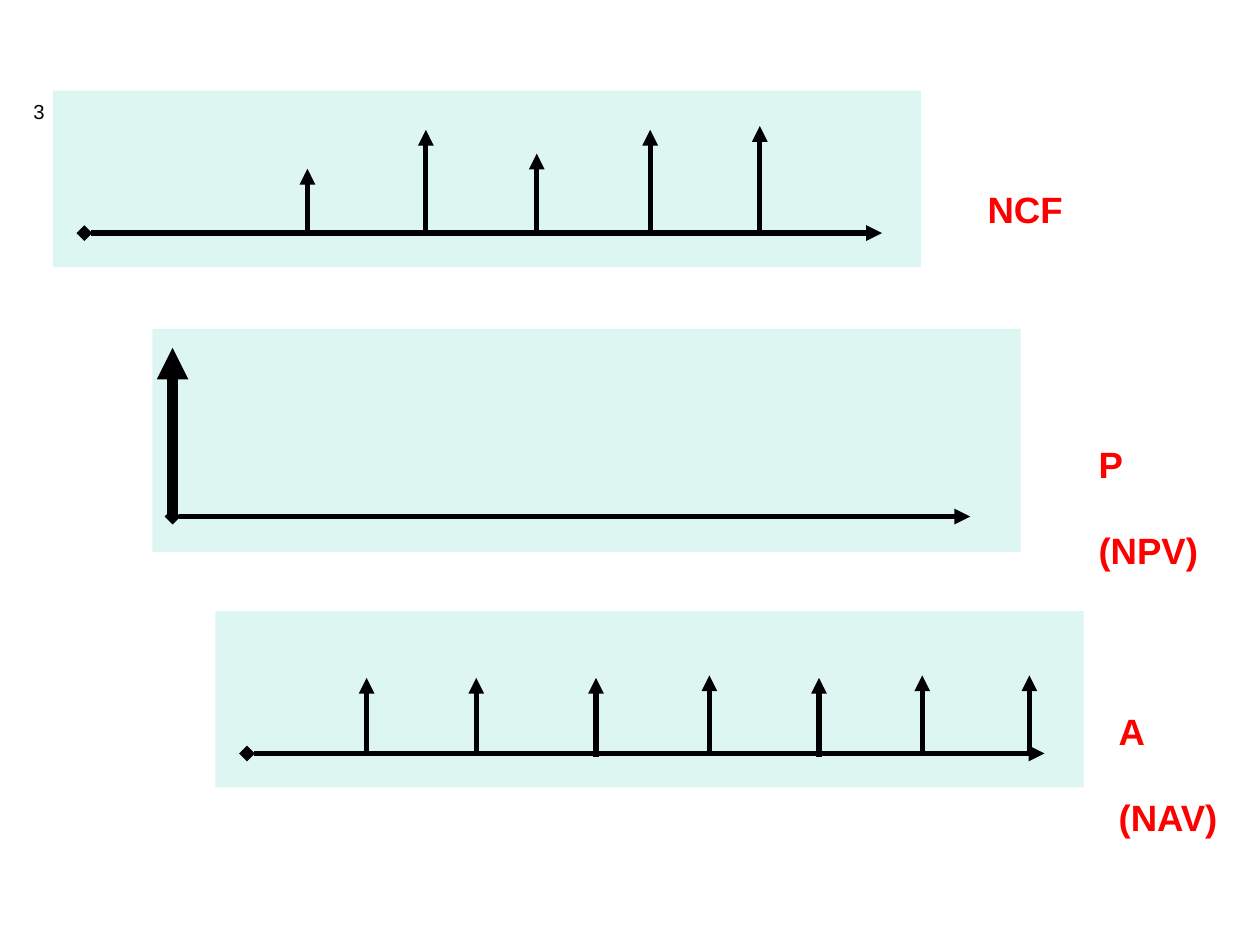
from lxml import etree
from pptx import Presentation
from pptx.dml.color import RGBColor
from pptx.enum import shapes, text
from pptx.oxml.ns import qn
from pptx.util import Inches, Pt

COLORS = {"panel": "DEF6F1", "line": "000000", "label": "FF0000", "number": "000000"}
AXIS_LENGTH = 6.33
PANEL_WIDTH = 6.89

DIAGRAMS = [
    {
        "panel": (0.42, 0.72, 1.4), "axis": (0.67, 1.85), "weight": 3,
        "flows": [(2.44, 1.85, 1.34), (3.38, 1.87, 1.03), (4.26, 1.85, 1.22),
                  (5.16, 1.87, 1.03), (6.03, 1.85, 1.0)],
        "label": (["NCF"], 7.74, 1.1, 1.58, 0.5),
    },
    {
        "panel": (1.21, 2.61, 1.77), "axis": (1.37, 4.1), "weight": 6,
        "flows": [(1.37, 4.1, 2.76)],
        "label": (["P (NPV)"], 8.62, 3.12, 1.11, 0.91),
    },
    {
        "panel": (1.71, 4.85, 1.4), "axis": (1.96, 5.98), "weight": 3,
        "flows": [(2.91, 5.98, 5.38), (3.78, 5.98, 5.38), (4.73, 6.01, 5.38),
                  (5.63, 5.98, 5.36), (6.5, 6.01, 5.38), (7.32, 5.99, 5.36),
                  (8.17, 5.99, 5.36)],
        "label": (["A", "(NAV)"], 8.78, 5.24, 1.11, 0.91),
    },
]


def add_panel(slide, left, top, height):
    shape = slide.shapes.add_shape(
        shapes.MSO_SHAPE.RECTANGLE,
        *map(Inches, (left, top, PANEL_WIDTH, height)))
    shape.shadow.inherit = False
    shape.fill.solid()
    shape.fill.fore_color.rgb = RGBColor.from_string(COLORS["panel"])
    shape.line.fill.background()


def add_arrow(slide, start, end, weight, head=None):
    connector = slide.shapes.add_connector(
        shapes.MSO_CONNECTOR.STRAIGHT, *map(Inches, (*start, *end)))
    connector.line.color.rgb = RGBColor.from_string(COLORS["line"])
    connector.line.width = Pt(weight)
    outline = connector.line._get_or_add_ln()
    if head:
        etree.SubElement(outline, qn("a:headEnd"), type=head)
    etree.SubElement(outline, qn("a:tailEnd"), type="triangle")
    etree.SubElement(connector._element.spPr, qn("a:effectLst"))


def add_subscript(slide, lines, left, top, width, height, size, color, bold=False):
    box = slide.shapes.add_textbox(*map(Inches, (left, top, width, height)))
    frame = box.text_frame
    frame.word_wrap = True
    frame.text = "\n".join(lines)
    for paragraph in frame.paragraphs:
        paragraph.font.name = "Arial"
        paragraph.font.size = Pt(size)
        paragraph.font.bold = bold
        paragraph.font.color.rgb = RGBColor.from_string(color)
        for run in paragraph.runs:
            run.font._element.set("baseline", "-25000")
    return frame


def main():
    """Build the slide of three cash flow diagrams."""
    presentation = Presentation()
    presentation.slide_width = Inches(10)
    presentation.slide_height = Inches(7.5)
    slide = presentation.slides.add_slide(presentation.slide_layouts[6])

    number = add_subscript(slide, ["3"], 0.03, 0.61, 0.56, 0.36, 20, COLORS["number"])
    number.margin_left = number.margin_right = 0
    number.margin_top = number.margin_bottom = 0
    number.vertical_anchor = text.MSO_ANCHOR.MIDDLE
    number.paragraphs[0].alignment = text.PP_ALIGN.CENTER

    for diagram in DIAGRAMS:
        add_panel(slide, *diagram["panel"])
    for diagram in DIAGRAMS:
        left, level = diagram["axis"]
        add_arrow(slide, (left, level), (left + AXIS_LENGTH, level), 3, "diamond")
        for x, bottom, top in diagram["flows"]:
            add_arrow(slide, (x, bottom), (x, top), diagram["weight"])
        label = add_subscript(slide, *diagram["label"], 36, COLORS["label"], True)
        label.auto_size = text.MSO_AUTO_SIZE.SHAPE_TO_FIT_TEXT

    presentation.save("out.pptx")


if __name__ == "__main__":
    main()
